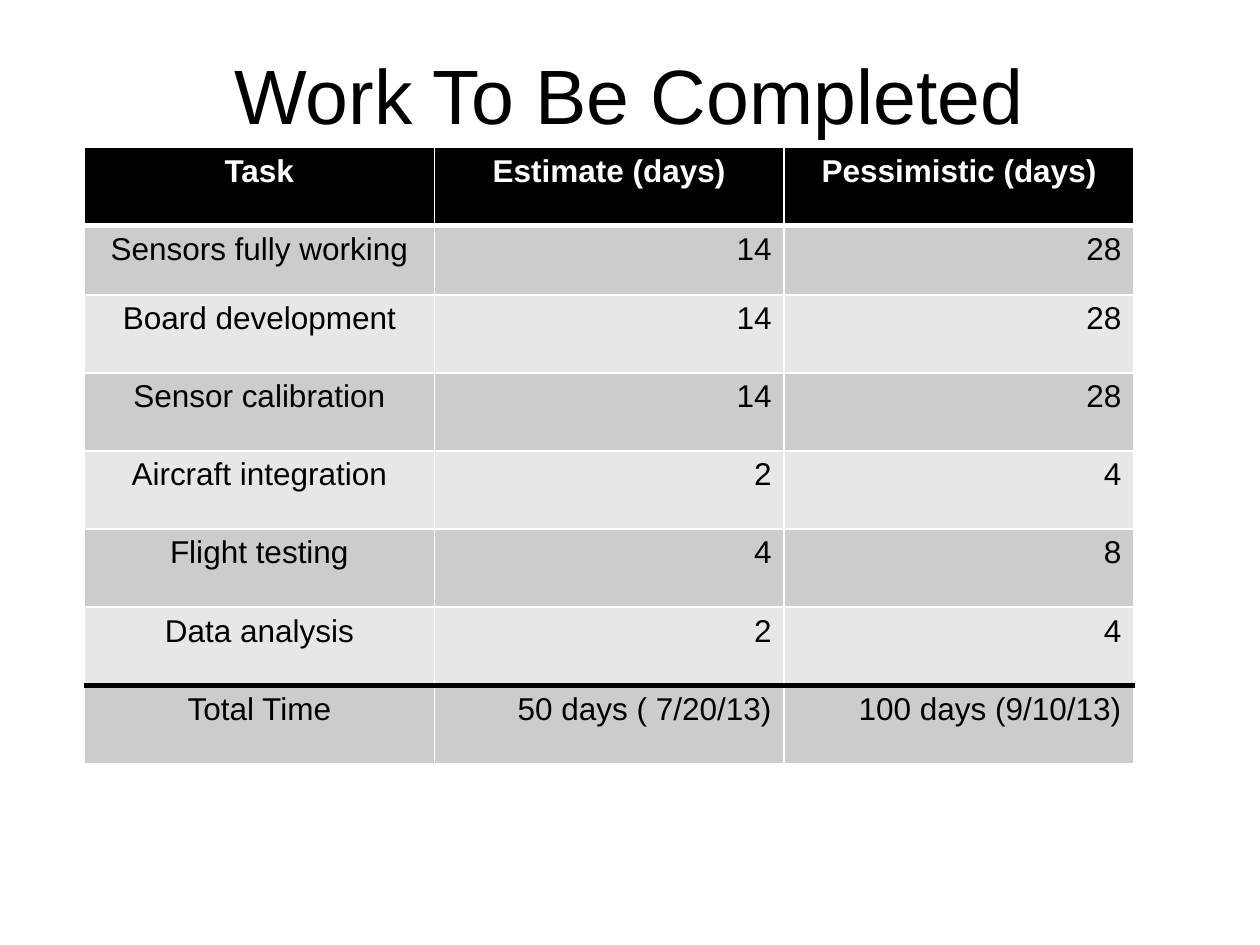
from lxml import etree
from pptx import Presentation
from pptx.dml.color import RGBColor
from pptx.enum.text import MSO_ANCHOR, PP_ALIGN
from pptx.oxml.ns import qn
from pptx.util import Inches, Pt

BLACK = RGBColor(0x00, 0x00, 0x00)
WHITE = RGBColor(0xFF, 0xFF, 0xFF)
DARK_BAND = RGBColor(0xCC, 0xCC, 0xCC)
LIGHT_BAND = RGBColor(0xE7, 0xE7, 0xE7)
CENTER, RIGHT = PP_ALIGN.CENTER, PP_ALIGN.RIGHT
MIDDLE = MSO_ANCHOR.MIDDLE

TASKS = [
    ("Task", "Estimate (days)", "Pessimistic (days)"),
    ("Sensors fully working", "14", "28"),
    ("Board development", "14", "28"),
    ("Sensor calibration", "14", "28"),
    ("Aircraft integration", "2", "4"),
    ("Flight testing", "4", "8"),
    ("Data analysis", "2", "4"),
    ("Total Time", "50 days ( 7/20/13)", "100 days (9/10/13)"),
]


class SlideBuilder:
    """Draws styled elements on the current slide."""

    title_format = {"name": "Arial", "size": Pt(44), "bold": False}
    header_format = {"name": "Arial", "size": Pt(18), "bold": True}
    body_format = {"name": "Arial", "size": Pt(18), "bold": False}

    def __init__(self, page):
        self.page = page

    def text(self, frame, text, alignment, color, font_format):
        para = frame.paragraphs[0]
        para.alignment = alignment
        span = para.add_run()
        span.text = text
        for name, value in font_format.items():
            setattr(span.font, name, value)
        span.font.color.rgb = color

    def title(self, text, left, top, width, height):
        box = self.page.shapes.add_textbox(left, top, width, height)
        frame = box.text_frame
        frame.word_wrap = True
        frame.vertical_anchor = MIDDLE
        self.text(frame, text, CENTER, BLACK, self.title_format)

    def border(self, cell, side, color, points):
        properties = cell._tc.get_or_add_tcPr()
        line = etree.SubElement(properties, qn(f"a:ln{side}"), w=str(Pt(points)))
        fill = etree.SubElement(line, qn("a:solidFill"))
        etree.SubElement(fill, qn("a:srgbClr"), val=str(color))

    def cell(self, cell, text, row, column, last):
        header = row == 0
        thin, thick, rule = (WHITE, 1), (WHITE, 3), (BLACK, 3)
        top = {1: thick, last: rule}.get(row, thin)
        bottom = {0: thick, last - 1: rule}.get(row, thin)
        for side, style in zip("LRTB", (thin, thin, top, bottom)):
            self.border(cell, side, *style)
        cell.fill.solid()
        band = DARK_BAND if row % 2 else LIGHT_BAND
        cell.fill.fore_color.rgb = BLACK if header else band
        self.text(
            cell.text_frame,
            text,
            CENTER if header or column == 0 else RIGHT,
            WHITE if header else BLACK,
            self.header_format if header else self.body_format,
        )

    def table(self, rows, left, top, width, heights):
        table = self.page.shapes.add_table(
            len(rows), len(rows[0]), left, top, width, sum(heights)
        ).table
        for row, texts in enumerate(rows):
            table.rows[row].height = heights[row]
            for column, text in enumerate(texts):
                self.cell(table.cell(row, column), text, row, column, len(rows) - 1)


def main():
    deck = Presentation()
    deck.slide_width, deck.slide_height = Inches(10), Inches(7.5)
    builder = SlideBuilder(deck.slides.add_slide(deck.slide_layouts[6]))
    builder.title(
        "Work To Be Completed", Inches(0.68), Inches(0.23), Inches(8.63), Inches(1.02)
    )
    heights = [Inches(0.55 if row == 1 else 0.62) for row in range(len(TASKS))]
    builder.table(TASKS, Inches(0.67), Inches(1.17), Inches(8.33), heights)
    deck.save("out.pptx")


if __name__ == "__main__":
    main()
